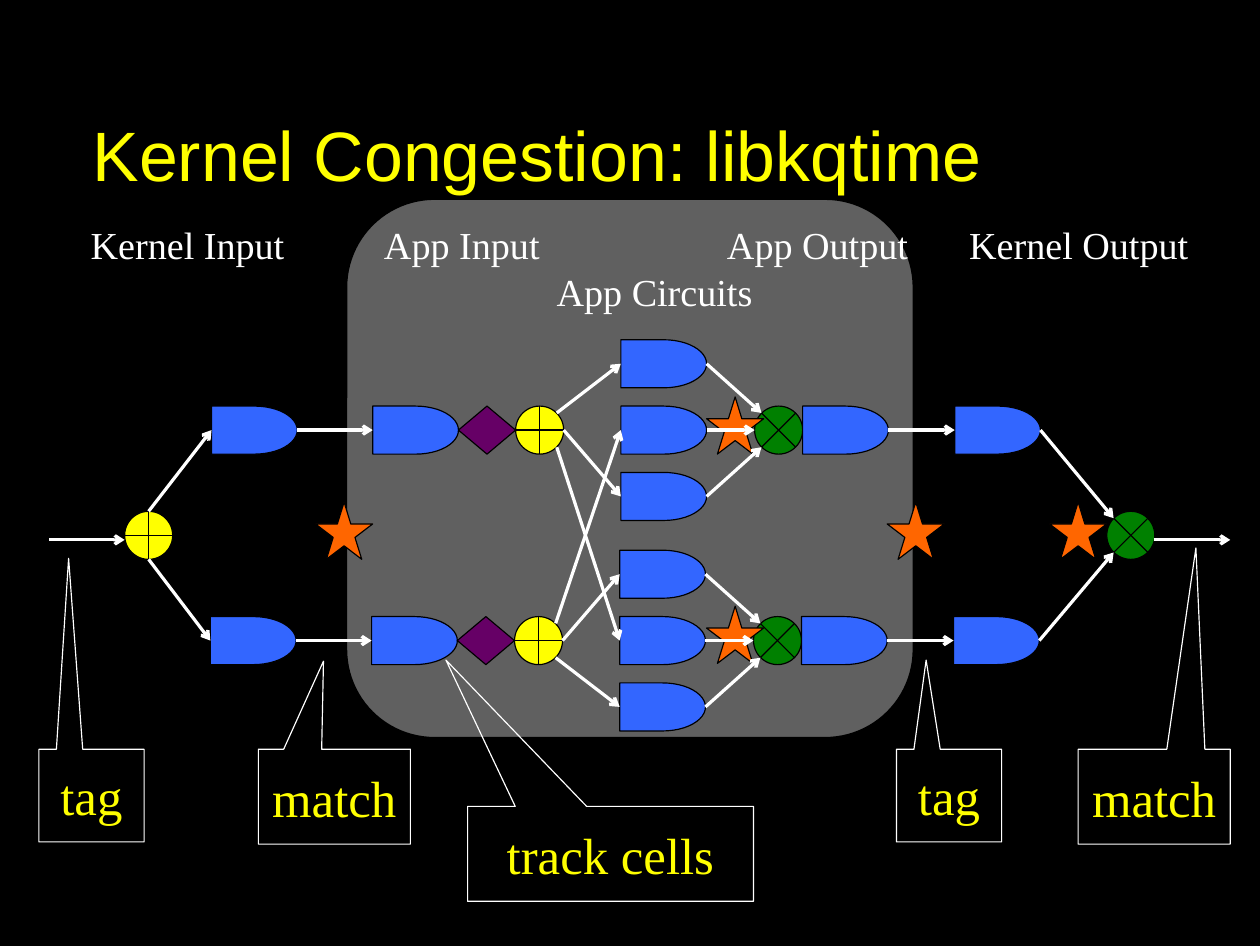
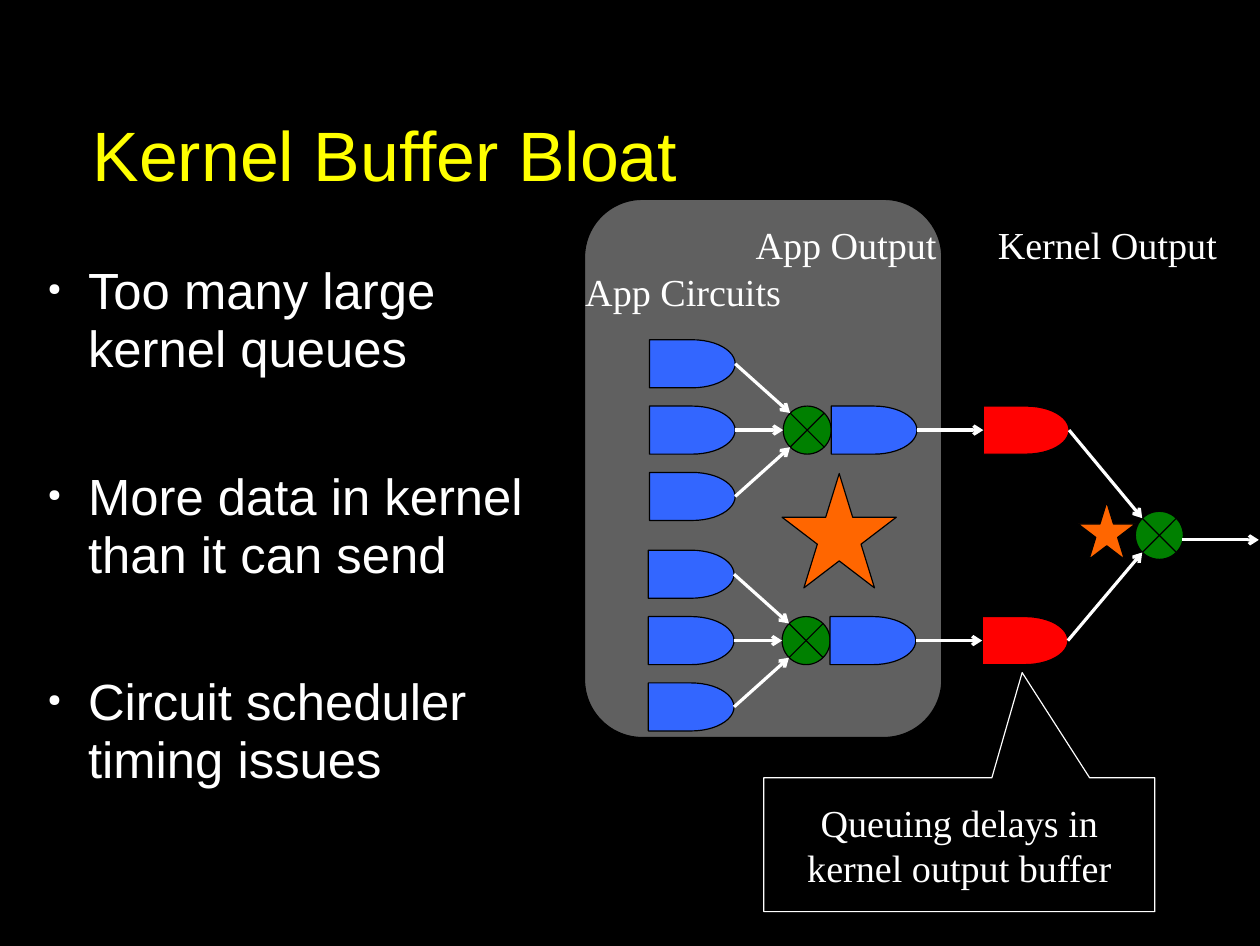
"""Build two slides on kernel congestion and kernel buffer bloat."""
from dataclasses import dataclass
from typing import Any, NamedTuple

from lxml import etree
from pptx import Presentation
from pptx import util as u
from pptx.dml import color
from pptx.enum import shapes, text
from pptx.oxml import ns

Kind = shapes.MSO_SHAPE
Align = text.PP_ALIGN
Anchor = text.MSO_ANCHOR


@dataclass(frozen=True)
class Theme:
    """Colours, fonts and type sizes."""
    back: str = "000000"
    edge: str = "000000"
    panel: str = "F2F2F2"
    title: str = "FFFF00"
    ink: str = "FFFFFF"
    queue: str = "3366FF"
    alert: str = "FF0000"
    join: str = "008000"
    split: str = "FFFF00"
    gate: str = "660066"
    star: str = "FF6600"
    sans: str = "Arial"
    serif: str = "Times New Roman"
    head: int = 44
    big: int = 32
    small: int = 24
    thin: float = 0.75
    wire: float = 2
    frame: float = 4


class Box(NamedTuple):
    """Left, top, width and height in inches."""
    x: float
    y: float
    w: float
    h: float


class Node(NamedTuple):
    """A filled symbol of the queue diagram."""
    kind: Any
    box: Box
    fill: str


class Link(NamedTuple):
    """An arrow between two points."""
    x1: float
    y1: float
    x2: float
    y2: float


class Label(NamedTuple):
    """A heading over a stage of the diagram."""
    words: str
    box: Box
    align: Any = Align.LEFT


class Call(NamedTuple):
    """A callout and the point that it marks."""
    words: str
    box: Box
    tip: tuple[float, float]
    size: int
    tint: str


T = Theme()
MID, HALF, STEP, NEAR = 4.68, 0.92, 0.58, 0.15
SIDE, WIDE = 0.42, 0.75
FLOW = 4.72
ROWS = ((1, 0.0), (-1, -0.01))


def rgb(code: str) -> color.RGBColor:
    """Turn a hex code into a colour."""
    return color.RGBColor.from_string(code)


def put(obj: Any, **form: Any) -> None:
    """Set each format value on an object."""
    for key, val in form.items():
        setattr(obj, key, val)


def sub(root: Any, tag: str, **form: str) -> Any:
    """Append a drawing element."""
    return etree.SubElement(root, ns.qn(tag), form)


def dims(box: Box, dx: float = 0) -> list[u.Length]:
    """Give a box as lengths, moved by dx."""
    return [u.Inches(v) for v in (box.x + dx, box.y, box.w, box.h)]


def style(shape: Any, fill: str | None, line: str, width: float) -> None:
    """Set fill and outline and drop the shadow."""
    shape.shadow.inherit = False
    if fill:
        shape.fill.solid()
        shape.fill.fore_color.rgb = rgb(fill)
    else:
        shape.fill.background()
    shape.line.color.rgb = rgb(line)
    shape.line.width = u.Pt(width)


def write(shape: Any, lines: list[str], font: str, size: int, tint: str,
          para: dict[str, Any], pad: tuple[float, float] = (0.1, 0.05),
          anchor: Any = Anchor.TOP) -> None:
    """Fill a shape with styled paragraphs."""
    frame = shape.text_frame
    wide, tall = map(u.Inches, pad)
    put(frame, word_wrap=True, vertical_anchor=anchor, margin_left=wide,
        margin_right=wide, margin_top=tall, margin_bottom=tall)
    for num, line in enumerate(lines):
        item = frame.add_paragraph() if num else frame.paragraphs[0]
        put(item, **para)
        run = item.add_run()
        run.text = line
        put(run.font, name=font, size=u.Pt(size))
        run.font.color.rgb = rgb(tint)


def panel(slide: Any, box: Box) -> None:
    """Draw the translucent rounded panel."""
    shape = slide.shapes.add_shape(Kind.ROUNDED_RECTANGLE, *dims(box))
    style(shape, T.panel, T.edge, T.frame)
    fill = next(shape.element.spPr.iter(ns.qn("a:srgbClr")))
    sub(fill, "a:alpha", val="40000")


def title(slide: Any, words: str) -> None:
    """Write the slide title."""
    shape = slide.shapes.add_textbox(*dims(Box(0.81, 0.69, 9.4, 1.37)))
    write(shape, [words], T.sans, T.head, T.title, {"line_spacing": 0.95},
          (0, 0), Anchor.MIDDLE)


def label(slide: Any, item: Label, dx: float = 0) -> None:
    """Write a stage heading."""
    shape = slide.shapes.add_textbox(*dims(item.box, dx))
    write(shape, [item.words], T.serif, T.small, T.ink,
          {"alignment": item.align})


def node(slide: Any, item: Node, dx: float = 0) -> None:
    """Draw a symbol."""
    shape = slide.shapes.add_shape(item.kind, *dims(item.box, dx))
    style(shape, item.fill, T.edge, T.thin)


def link(slide: Any, item: Link, dx: float = 0) -> None:
    """Draw an arrow."""
    ends = (item.x1 + dx, item.y1, item.x2 + dx, item.y2)
    wire = slide.shapes.add_connector(
        shapes.MSO_CONNECTOR.STRAIGHT, *map(u.Inches, ends))
    wire.line.color.rgb = rgb(T.ink)
    wire.line.width = u.Pt(T.wire)
    sub(wire.line._get_or_add_ln(), "a:tailEnd", type="arrow")
    sub(wire.element.spPr, "a:effectLst")


def call(slide: Any, item: Call) -> None:
    """Draw a callout that points at its tip."""
    box = item.box
    shape = slide.shapes.add_shape(Kind.RECTANGULAR_CALLOUT, *dims(box))
    shape.adjustments[0] = (item.tip[0] - box.x) / box.w - 0.5
    shape.adjustments[1] = (item.tip[1] - box.y) / box.h - 0.5
    style(shape, None, T.ink, T.thin)
    write(shape, [item.words], T.serif, item.size, item.tint,
          {"alignment": Align.CENTER}, anchor=Anchor.MIDDLE)


def points(slide: Any, box: Box, lines: list[str]) -> None:
    """Write the bullet list."""
    shape = slide.shapes.add_textbox(*dims(box))
    write(shape, lines, T.sans, T.big, T.ink,
          {"line_spacing": 0.95, "space_after": u.Pt(56.5)}, (0, 0))
    for item in shape.text_frame.paragraphs:
        form = item._p.get_or_add_pPr()
        form.set("marL", str(u.Inches(0.46)))
        form.set("indent", str(u.Inches(-0.35)))
        sub(sub(form, "a:buClr"), "a:srgbClr", val=T.ink)
        sub(form, "a:buSzPct", val="33000")
        sub(form, "a:buChar", char="●")


def queue(x: float, y: float, fill: str = T.queue) -> Node:
    """Make a queue centred on height y."""
    return Node(Kind.FLOWCHART_DELAY, Box(x, y - SIDE / 2, WIDE, SIDE), fill)


def disc(kind: Any, x: float, y: float, fill: str) -> Node:
    """Make a round symbol centred on height y."""
    return Node(kind, Box(x, y - SIDE / 2, SIDE, SIDE), fill)


def star(x: float, y: float, size: float = 0.5) -> Node:
    """Make a star."""
    return Node(Kind.STAR_5_POINT, Box(x, y, size, size), T.star)


def entry() -> tuple[list[Node], list[Link]]:
    """Lay out the input half."""
    fork = Kind.FLOWCHART_OR
    nodes = [disc(fork, 1.09, MID, T.split)]
    links = [Link(0.43, FLOW, 1.09, FLOW)]
    for s, d in ROWS:
        y = MID - s * HALF
        nodes += [
            queue(1.85 + d, y), queue(3.26 + d, y),
            Node(Kind.FLOWCHART_DECISION,
                 Box(4.01 + d, y - SIDE / 2, 0.5, SIDE), T.gate),
            disc(fork, 4.51 + d, y, T.split)]
        links += [
            Link(1.3, MID - s * SIDE / 2, 1.85 + d, y),
            Link(2.6 + d, y, 3.26 + d, y),
            Link(4.93 + d, y, 5.43 + d, y + s * STEP),
            Link(4.87 + d, y - s * NEAR, 5.43 + d, y - s * STEP),
            Link(4.87 + d, y + s * NEAR, 5.42 - d, MID + s * HALF)]
    return nodes, links


def leave(last: str) -> tuple[list[Node], list[Link]]:
    """Lay out the output half with its last queues coloured."""
    join = Kind.FLOWCHART_SUMMING_JUNCTION
    nodes = [disc(join, 9.68, MID, T.join)]
    links = [Link(10.09, FLOW, 10.76, FLOW)]
    for s, d in ROWS:
        y = MID - s * HALF
        nodes += [disc(join, 6.6 + d, y, T.join), queue(7.02 + d, y),
                  queue(8.35 + d, y, last)]
        links += [Link(7.77 + d, y, 8.35 + d, y),
                  Link(9.1 + d, y, 9.74, MID - s * NEAR)]
        for k in (-1, 0, 1):
            nodes.append(queue(5.43 + d, y + k * STEP))
            end = 6.66 if k else 6.6
            links.append(Link(6.18 + d, y + k * STEP, end + d, y + k * NEAR))
    return nodes, links


def scene(slide: Any, parts: list[tuple[list[Node], list[Link]]],
          stars: list[Node], labels: list[Label], dx: float = 0) -> None:
    """Draw labels, symbols, stars and then arrows."""
    for item in labels:
        label(slide, item, dx)
    for item in [n for part in parts for n in part[0]] + stars:
        node(slide, item, dx)
    for item in [n for part in parts for n in part[1]]:
        link(slide, item, dx)


def main() -> None:
    """Build and save both slides."""
    deck = Presentation()
    put(deck, slide_width=u.Inches(11.02), slide_height=u.Inches(8.27))
    outs = [Label("App Output", Box(6.26, 1.89, 1.91, 0.5)),
            Label("App Circuits", Box(4.77, 2.3, 1.91, 0.5)),
            Label("Kernel Output", Box(8.35, 1.89, 2.17, 0.5), Align.CENTER)]
    ins = [Label("Kernel Input", Box(0.6, 1.89, 2.08, 0.5), Align.CENTER),
           Label("App Input", Box(3.26, 1.89, 1.91, 0.5))]
    heads = (("Kernel Congestion: libkqtime", Box(3.01, 1.72, 5, 4.75)),
             ("Kernel Buffer Bloat", Box(5.09, 1.72, 3.17, 4.75)))
    pages = []
    for words, box in heads:
        slide = deck.slides.add_slide(deck.slide_layouts[6])
        slide.background.fill.solid()
        slide.background.fill.fore_color.rgb = rgb(T.back)
        panel(slide, box)
        title(slide, words)
        pages.append(slide)
    first, second = pages

    stars = [star(x, 4.39) for x in (2.76, 7.76, 9.18)]
    stars += [star(6.18, y) for y in (3.47, 5.3)]
    scene(first, [entry(), leave(T.queue)], stars, ins + outs)
    for words, box, tip in (
            ("tag", Box(0.34, 6.55, 0.92, 0.81), (0.6, 4.88)),
            ("match", Box(2.26, 6.55, 1.33, 0.83), (2.83, 5.78)),
            ("tag", Box(7.84, 6.55, 0.92, 0.81), (8.1, 5.77)),
            ("match", Box(9.43, 6.55, 1.33, 0.83), (10.46, 4.79)),
            ("track cells", Box(4.09, 7.05, 2.5, 0.83), (3.9, 5.77))):
        call(first, Call(words, box, tip, T.big, T.title))

    scene(second, [leave(T.alert)], [star(9.18, 4.39), star(6.59, 4.14, 1)],
          outs, 0.25)
    call(second, Call("Queuing delays in kernel output buffer",
                      Box(6.68, 6.8, 3.42, 1.17), (8.94, 5.88),
                      T.small, T.ink))
    points(second, Box(0.31, 2.3, 4.62, 5.2),
           ["Too many large kernel queues",
            "More data in kernel than it can send",
            "Circuit scheduler timing issues"])
    deck.save("out.pptx")


if __name__ == "__main__":
    main()
